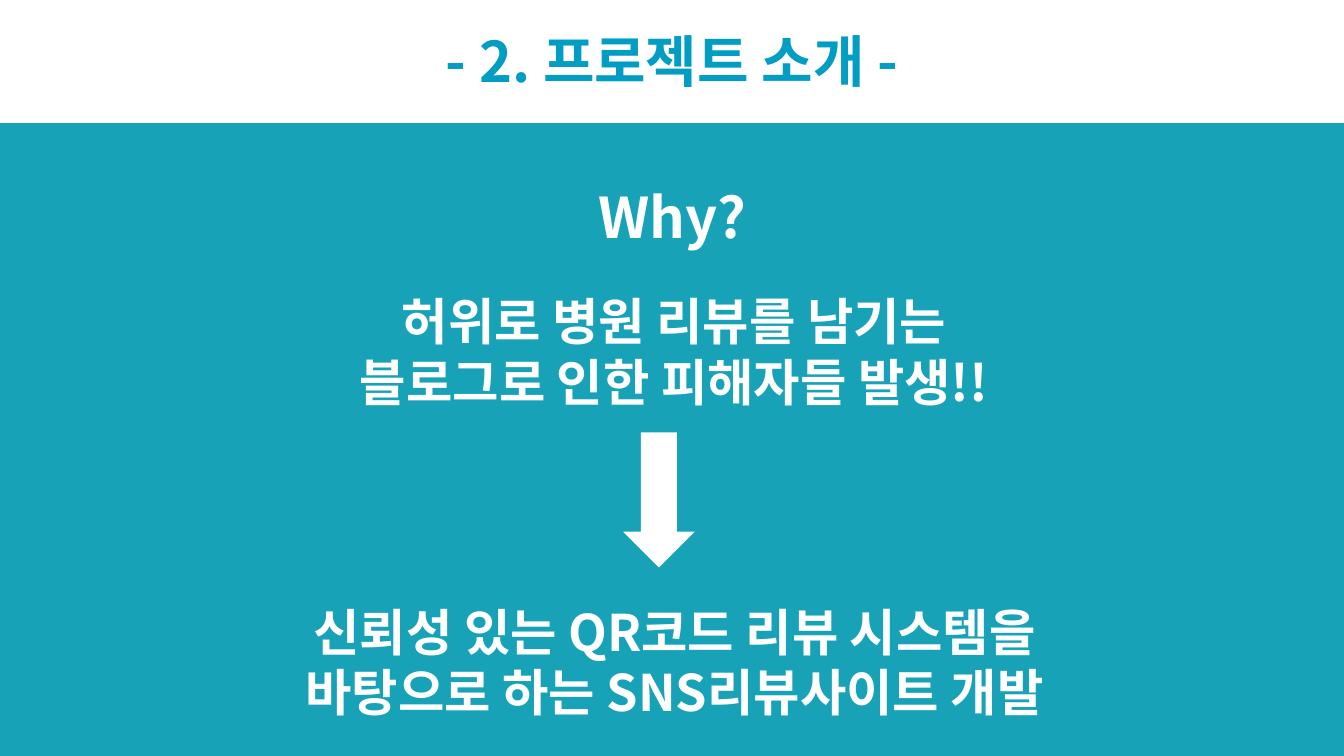
from lxml import etree
from pptx import Presentation
from pptx.dml.color import RGBColor
from pptx.enum.shapes import MSO_SHAPE
from pptx.enum.text import MSO_AUTO_SIZE, PP_ALIGN
from pptx.oxml.ns import qn
from pptx.util import Inches, Pt

RECT, DOWN_ARROW = MSO_SHAPE.RECTANGLE, MSO_SHAPE.DOWN_ARROW
CENTER = PP_ALIGN.CENTER
FIT_SHAPE = MSO_AUTO_SIZE.SHAPE_TO_FIT_TEXT

# Content
FONT = "Noto Sans CJK KR"
TEAL, BLUE, WHITE = "17A2B8", "029DC3", "FFFFFF"

SHAPES = [  # preset, (left, top, width, height)
    (RECT, (0, 0, 13.33, 1.22)),
    (DOWN_ARROW, (6.18, 4.29, 0.71, 1.34)),
]
TEXTS = [  # lines, (left, top, width, height), size, colour
    (["- 2. 프로젝트 소개 -"], (4.05, 0.21, 5.23, 0.77), 40, BLUE),
    (["Why?"], (5.79, 1.76, 1.75, 0.77), 40, WHITE),
    (["허위로 병원 리뷰를 남기는", "블로그로 인한 피해자들 발생!!"],
     (3.24, 2.83, 6.89, 1.31), 36, WHITE),
    (["신뢰성 있는 QR코드 리뷰 시스템을", "바탕으로 하는 SNS리뷰사이트 개발"],
     (2.73, 5.91, 7.92, 1.31), 36, WHITE),
]


def paint(fill, color):
    fill.solid()
    fill.fore_color.rgb = RGBColor.from_string(color)


def add_shape(s, preset, box):
    sp = s.shapes.add_shape(preset, *map(Inches, box))
    sp.shadow.inherit = False
    paint(sp.fill, WHITE)
    sp.line.fill.background()


def add_text(s, lines, box, size, color):
    tf = s.shapes.add_textbox(*map(Inches, box)).text_frame
    tf.word_wrap = False
    tf.auto_size = FIT_SHAPE
    tf.text = "\n".join(lines)
    for p in tf.paragraphs:
        p.alignment = CENTER
        p.font.size, p.font.bold, p.font.name = Pt(size), True, FONT
        paint(p.font.fill, color)
        # Hangul takes the East Asian typeface
        props = p._p.pPr.find(qn("a:defRPr"))
        etree.SubElement(props, qn("a:ea"), typeface=FONT)


# Slide
prs = Presentation()
prs.slide_width, prs.slide_height = Inches(13.33), Inches(7.5)
s = prs.slides.add_slide(prs.slide_layouts[6])
paint(s.background.fill, TEAL)

# Header band and arrow, then the text
for shape in SHAPES:
    add_shape(s, *shape)
for text in TEXTS:
    add_text(s, *text)

prs.save("out.pptx")
